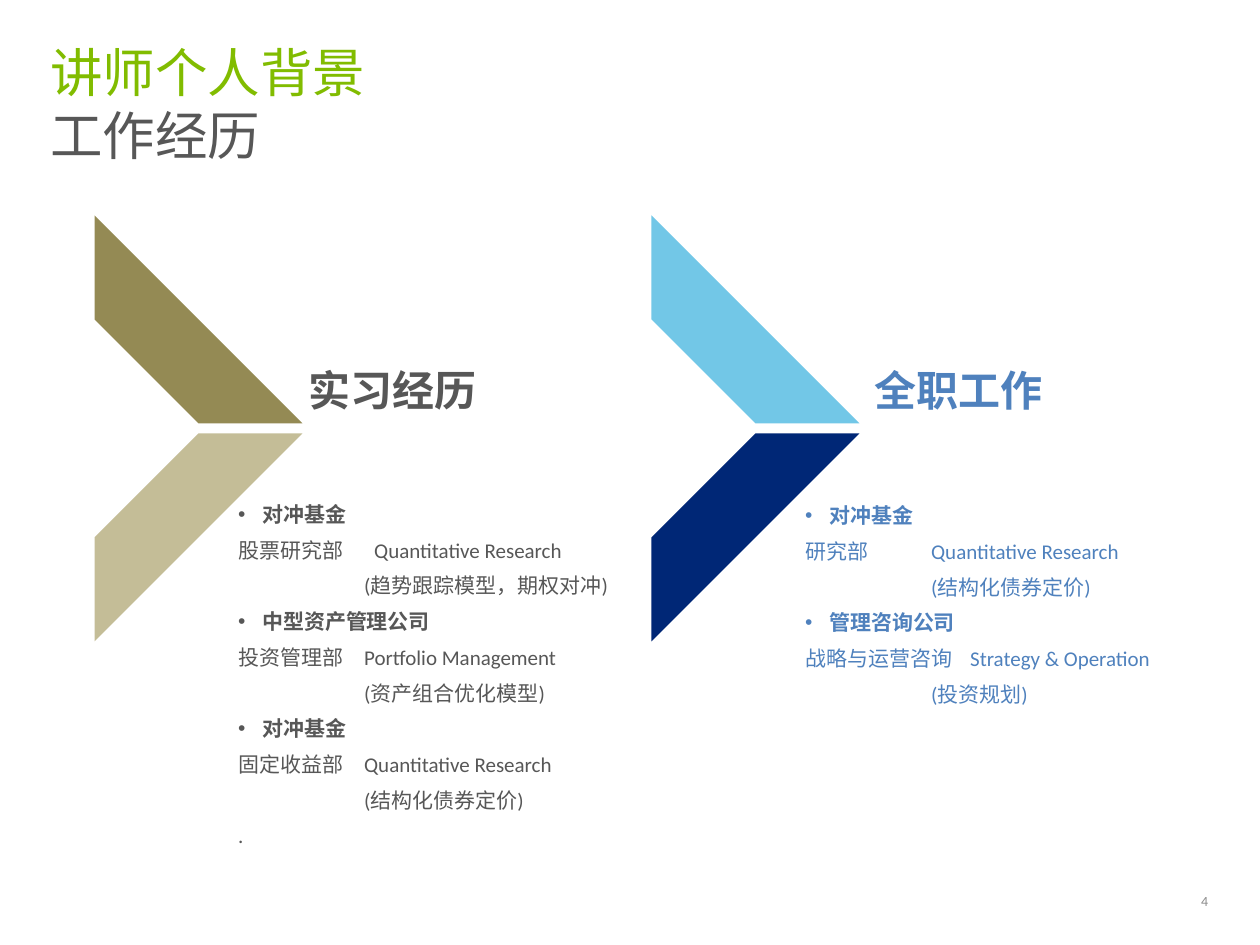
from dataclasses import dataclass

from lxml import etree
from pptx import Presentation
from pptx.dml.color import RGBColor
from pptx.enum.shapes import MSO_SHAPE
from pptx.enum.text import MSO_ANCHOR, PP_ALIGN
from pptx.oxml.ns import qn
from pptx.util import Inches, Pt

STRIPE = MSO_SHAPE.DIAGONAL_STRIPE
TOP, MIDDLE = MSO_ANCHOR.TOP, MSO_ANCHOR.MIDDLE
LEFT, RIGHT = PP_ALIGN.LEFT, PP_ALIGN.RIGHT
COLUMNS, ROWS = 100, 75
TAB = 1.0


@dataclass(frozen=True)
class Theme:
    font: str = "Calibri"
    green: str = "81BC00"
    gray: str = "575757"
    pale_gray: str = "8C8C8C"
    blue: str = "4F81BD"
    olive: str = "948A54"
    sand: str = "C4BD97"
    sky: str = "72C7E7"
    navy: str = "002776"
    title: int = 30
    heading: int = 24
    body: int = 12
    number: int = 8
    gap: int = 6


@dataclass(frozen=True)
class Line:
    words: str
    bullet: bool = False
    tab: float = TAB


def employer(name, *duties):
    return [Line(name, bullet=True), *duties]


def write(paragraph, words, *, font, size, color, bold=False, align=LEFT):
    paragraph.alignment = align
    run = paragraph.add_run()
    run.text = words
    run.font.name = font
    run.font.size = Pt(size)
    run.font.bold = bold
    run.font.color.rgb = RGBColor.from_string(color)


class Deck:
    def __init__(self, theme):
        self.theme = theme
        self.presentation = Presentation()
        self.presentation.slide_width = Inches(10)
        self.presentation.slide_height = Inches(7.5)
        self.slide = self.presentation.slides.add_slide(self.presentation.slide_layouts[6])

    def place(self, left, top, width, height):
        column = self.presentation.slide_width / COLUMNS
        row = self.presentation.slide_height / ROWS
        return [int(n) for n in (left * column, top * row, width * column, height * row)]

    def frame(self, area, inset=0, anchor=TOP):
        frame = self.slide.shapes.add_textbox(*self.place(*area)).text_frame
        frame.word_wrap = True
        frame.vertical_anchor = anchor
        frame.margin_left = frame.margin_right = Inches(inset)
        frame.margin_top = frame.margin_bottom = Inches(inset)
        return frame

    def label(self, area, words, inset=0, anchor=TOP, **style):
        paragraph = self.frame(area, inset, anchor).paragraphs[0]
        write(paragraph, words, font=self.theme.font, **style)

    def title(self, area, topic, subtopic):
        style = dict(font=self.theme.font, size=self.theme.title)
        paragraph = self.frame(area).paragraphs[0]
        write(paragraph, topic, color=self.theme.green, **style)
        paragraph.add_line_break()
        write(paragraph, subtopic, color=self.theme.gray, **style)

    def chevron(self, left, upper_color, lower_color, top=17.1, side=16.5, step=17.3):
        group = self.slide.shapes.add_group_shape()
        for row, color in ((top + step, lower_color), (top, upper_color)):
            stripe = group.shapes.add_shape(STRIPE, *self.place(left, row, side, side))
            stripe.shadow.inherit = False
            stripe.fill.solid()
            stripe.fill.fore_color.rgb = RGBColor.from_string(color)
            stripe.line.fill.background()
            if row == top:
                stripe._element.spPr.find(qn("a:xfrm")).set("flipV", "1")

    def history(self, area, lines, color):
        frame = self.frame(area)
        for index, line in enumerate(lines):
            paragraph = frame.add_paragraph() if index else frame.paragraphs[0]
            properties = paragraph._p.get_or_add_pPr()
            if line.bullet:
                properties.set("marL", str(Inches(0.19)))
                properties.set("indent", str(-Inches(0.19)))
                etree.SubElement(properties, qn("a:buFont"), typeface="Arial")
                etree.SubElement(properties, qn("a:buChar"), char="•")
            elif "\t" in line.words:
                stops = etree.SubElement(properties, qn("a:tabLst"))
                etree.SubElement(stops, qn("a:tab"), pos=str(Inches(line.tab)), algn="l")
            paragraph.space_after = Pt(self.theme.gap)
            write(paragraph, line.words, font=self.theme.font, size=self.theme.body,
                  color=color, bold=line.bullet)


def main():
    theme = Theme()
    deck = Deck(theme)
    deck.title((4, 3.2, 91.7, 5.1), "讲师个人背景", "工作经历")
    deck.label((87.2, 70.1, 8.7, 2.8), "4", anchor=MIDDLE, size=theme.number,
               color=theme.pale_gray, align=RIGHT)

    internships = [
        *employer("对冲基金", Line("股票研究部\tQuantitative Research", tab=1.08),
                  Line("\t(趋势跟踪模型，期权对冲)")),
        *employer("中型资产管理公司", Line("投资管理部\tPortfolio Management"),
                  Line("\t(资产组合优化模型)")),
        *employer("对冲基金", Line("固定收益部\tQuantitative Research"),
                  Line("\t(结构化债券定价)")),
        Line("."),
    ]
    full_time = [
        *employer("对冲基金", Line("研究部\tQuantitative Research"),
                  Line("\t(结构化债券定价)")),
        *employer("管理咨询公司", Line("战略与运营咨询\tStrategy & Operation", tab=1.31),
                  Line("\t(投资规划)")),
    ]
    careers = (
        (7.5, theme.olive, theme.sand, theme.gray, "实习经历", (24.1, 28.5, 21.8, 4.8),
         internships, (18.9, 39.8, 36.1, 27.8)),
        (51.7, theme.sky, theme.navy, theme.blue, "全职工作", (69, 28.5, 16, 4.8),
         full_time, (63.9, 39.9, 31.1, 16.3)),
    )
    for left, upper, lower, color, heading, heading_area, lines, lines_area in careers:
        deck.chevron(left, upper, lower)
        deck.history(lines_area, lines, color)
        deck.label(heading_area, heading, inset=0.04, size=theme.heading, color=color, bold=True)

    deck.presentation.save("out.pptx")


if __name__ == "__main__":
    main()
